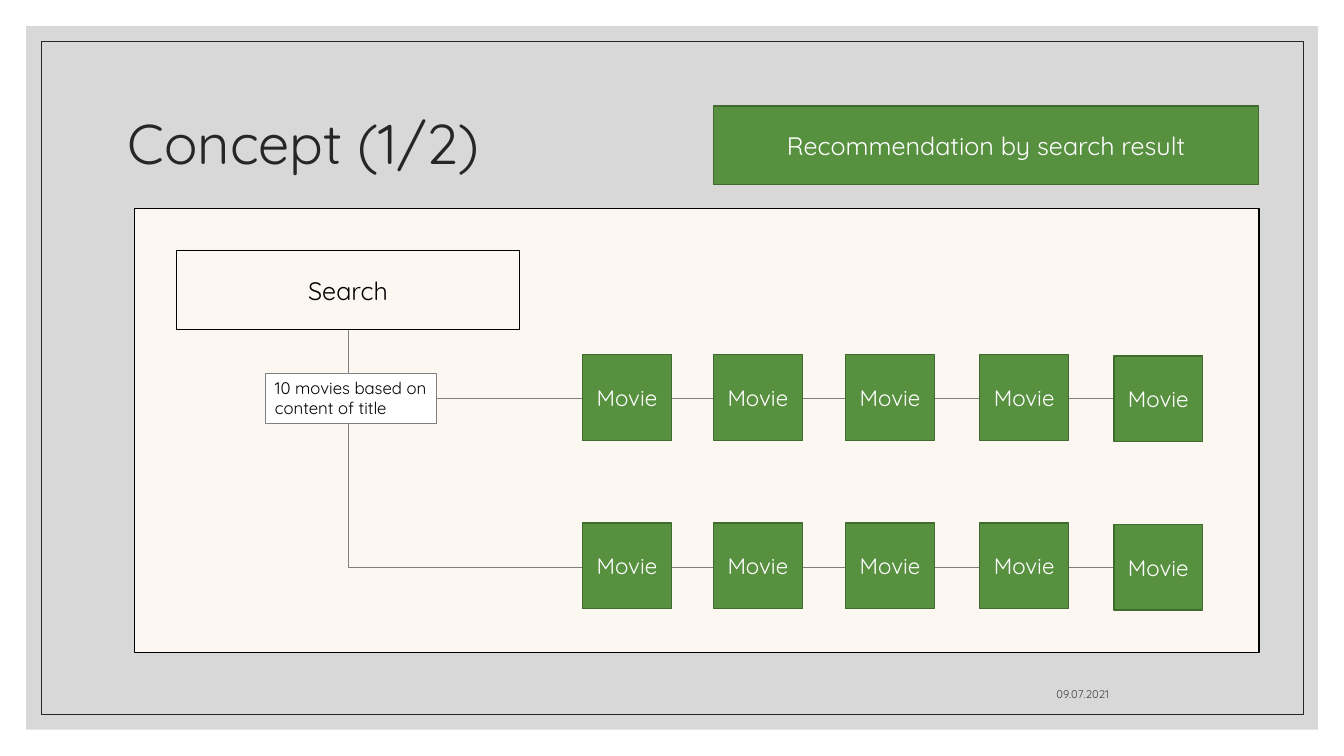
from dataclasses import dataclass
from itertools import product

from lxml.etree import SubElement
from pptx import Presentation
from pptx.dml.color import RGBColor
from pptx.enum.shapes import MSO_CONNECTOR as Connector, MSO_SHAPE as Shape
from pptx.enum.text import MSO_ANCHOR as Anchor, PP_ALIGN as Align
from pptx.oxml.ns import qn
from pptx.util import Cm, Pt

FONT = "Quicksand"
COLORS = {
    "backdrop": "BFBFBF",
    "dark": "262626",
    "date": "404040",
    "green": "57903F",
    "green_edge": "406B2F",
    "cream": "FCF7F1",
    "grey": "808080",
    "black": "000000",
    "white": "FFFFFF",
}

MOVIE_LEFTS = (14.68, 17.98, 21.31, 24.69, 28.07)
MOVIE_TOPS = (8.94, 13.18)
MOVIE_WIDTH, MOVIE_HEIGHT = 2.24, 2.16
LAST_COLUMN_DROP = 0.03
TRUNK_X, TRUNK_TOP = 8.79, 8.31


@dataclass(frozen=True)
class Box:
    left: float
    top: float
    width: float
    height: float
    fill: str | None = None
    line: str | None = None
    line_width: float = 0.75


@dataclass(frozen=True)
class Branch:
    end_x: float
    end_y: float


def color(name: str) -> RGBColor:
    return RGBColor.from_string(COLORS[name])


def write(shape, text: str, *, size: float, ink: str, align=Align.LEFT,
          anchor=Anchor.MIDDLE, spacing: float | None = None) -> None:
    frame = shape.text_frame
    frame.word_wrap = True
    frame.vertical_anchor = anchor
    paragraph = frame.paragraphs[0]
    paragraph.alignment = align
    paragraph.line_spacing = spacing
    run = paragraph.add_run()
    run.text = text
    run.font.name = FONT
    run.font.size = Pt(size)
    run.font.color.rgb = color(ink)


def place(shape, box: Box) -> None:
    shape.left, shape.top = Cm(box.left), Cm(box.top)
    shape.width, shape.height = Cm(box.width), Cm(box.height)


def draw_box(slide, box: Box):
    shape = slide.shapes.add_shape(Shape.RECTANGLE, Cm(box.left), Cm(box.top),
                                   Cm(box.width), Cm(box.height))
    shape.shadow.inherit = False
    if box.fill:
        shape.fill.solid()
        shape.fill.fore_color.rgb = color(box.fill)
    else:
        shape.fill.background()
    if box.line:
        shape.line.color.rgb = color(box.line)
        shape.line.width = Pt(box.line_width)
    else:
        shape.line.fill.background()
    return shape


def set_opacity(shape, percent: int) -> None:
    tint = shape._element.spPr.find(qn("a:solidFill"))[0]
    SubElement(tint, qn("a:alpha"), val=str(percent * 1000))


def draw_branch(slide, branch: Branch) -> None:
    """Draw an elbow that drops from the trunk and then runs right."""
    elbow = slide.shapes.add_connector(Connector.ELBOW, Cm(TRUNK_X), Cm(TRUNK_TOP),
                                       Cm(branch.end_x), Cm(branch.end_y))
    elbow.line.color.rgb = color("grey")
    elbow.line.width = Pt(0.5)
    properties = elbow._element.spPr
    adjustments = properties.find(qn("a:prstGeom")).find(qn("a:avLst"))
    SubElement(adjustments, qn("a:gd"), name="adj1", fmla="val 0")
    SubElement(properties, qn("a:effectLst"))


def draw_frame(slide) -> None:
    backdrop = draw_box(slide, Box(0.66, 0.66, 32.56, 17.73, "backdrop"))
    set_opacity(backdrop, 60)
    draw_box(slide, Box(1.04, 1.04, 31.8, 16.97, None, "dark", 0.5))


def draw_heading(slide) -> None:
    title = slide.shapes.title
    slide.shapes._spTree.append(title._element)
    place(title, Box(2.97, 1.78, 27.94, 3.81))
    write(title, "Concept (1/2)", size=40, ink="dark", spacing=0.9)

    date = slide.shapes.add_textbox(Cm(20.17), Cm(16.76), Cm(8.03), Cm(1.02))
    write(date, "09.07.2021", size=8, ink="date", align=Align.RIGHT,
          anchor=Anchor.BOTTOM)

    banner = draw_box(slide, Box(17.98, 2.67, 13.74, 1.98, "green", "green_edge", 1))
    write(banner, "Recommendation by search result", size=18, ink="white",
          align=Align.CENTER)


def draw_concept(slide) -> None:
    draw_box(slide, Box(3.38, 5.26, 28.35, 11.18, "cream", "black"))
    search = draw_box(slide, Box(4.45, 6.32, 8.64, 1.98, "cream", "black"))
    write(search, "Search", size=18, ink="black", align=Align.CENTER)

    for top in reversed(MOVIE_TOPS):
        middle = top + LAST_COLUMN_DROP + MOVIE_HEIGHT / 2
        draw_branch(slide, Branch(MOVIE_LEFTS[-1], middle))

    for left, top in product(MOVIE_LEFTS, MOVIE_TOPS):
        drop = LAST_COLUMN_DROP if left == MOVIE_LEFTS[-1] else 0
        movie = draw_box(slide, Box(left, top + drop, MOVIE_WIDTH, MOVIE_HEIGHT,
                                    "green", "green_edge", 1))
        write(movie, "Movie", size=16, ink="white", align=Align.CENTER)

    rule = draw_box(slide, Box(6.68, 9.4, 4.32, 1.28, "white", "grey", 0.5))
    write(rule, "10 movies based on content of title", size=12, ink="black",
          anchor=Anchor.TOP)


def main() -> None:
    deck = Presentation()
    deck.slide_width, deck.slide_height = Cm(33.87), Cm(19.05)
    slide = deck.slides.add_slide(deck.slide_layouts[5])
    draw_frame(slide)
    draw_heading(slide)
    draw_concept(slide)
    deck.save("out.pptx")


if __name__ == "__main__":
    main()
